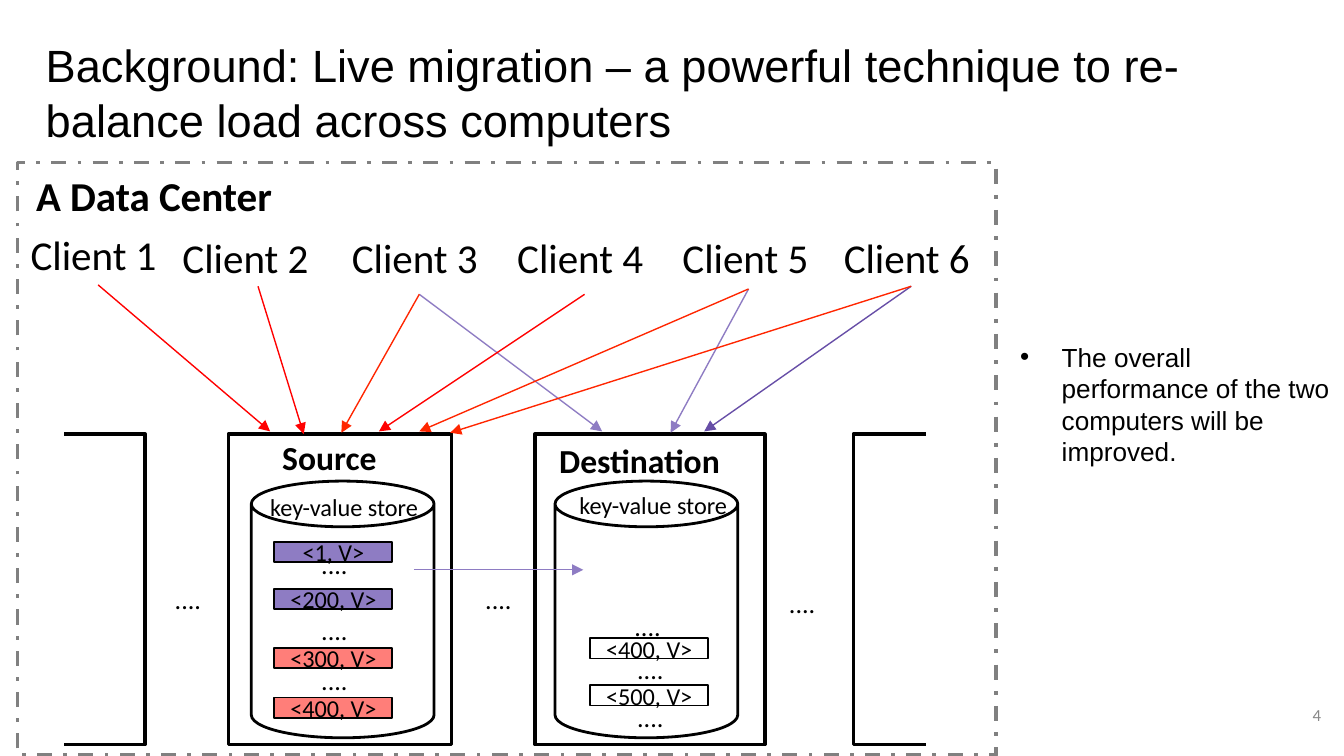
from lxml import etree
from pptx import Presentation
from pptx.dml.color import RGBColor
from pptx.enum import dml, shapes, text
from pptx.oxml import ns
from pptx.util import Inches, Pt

COLORS = {
    "ink": "000000",
    "frame": "808080",
    "number": "888888",
    "moved": "8E7CC3",
    "moved_dark": "674EA7",
    "kept": "FF7E79",
    "red": "FF0000",
    "orange": "FF2600",
}
DOTS = "...."
CLIENT_TIPS = {1: (0.73, 2.12), 2: (1.92, 2.13), 3: (3.12, 2.19),
               4: (4.35, 2.19), 5: (5.57, 2.15), 6: (6.78, 2.13)}
REQUESTS = [
    (1, 2.01, 3.21, "red"), (2, 2.26, 3.23, "red"),
    (5, 4.99, 3.22, "moved"), (6, 5.24, 3.21, "moved_dark"),
    (3, 4.48, 3.21, "moved"), (4, 2.82, 3.21, "red"),
    (5, 3.12, 3.21, "orange"), (6, 3.35, 3.22, "orange"),
    (3, 2.54, 3.22, "orange"),
]


def rgb(name):
    return RGBColor.from_string(COLORS[name])


def style_text(frame, size, font="Calibri", color="ink", bold=False, inset=0.04):
    frame.word_wrap = True
    frame.auto_size = text.MSO_AUTO_SIZE.NONE
    frame.margin_left = frame.margin_right = Inches(inset)
    frame.margin_top = frame.margin_bottom = Inches(inset)
    paragraph = frame.paragraphs[0]
    paragraph.font.size = Pt(size)
    paragraph.font.name = font
    paragraph.font.bold = bold
    paragraph.font.color.rgb = rgb(color)
    return paragraph


def add_label(slide, box, words, size, **style):
    frame = slide.shapes.add_textbox(*map(Inches, box)).text_frame
    frame.text = words
    return style_text(frame, size, **style)


def style_outline(shape, width, fill=None, line="ink"):
    shape.shadow.inherit = False
    if fill:
        shape.fill.solid()
        shape.fill.fore_color.rgb = rgb(fill)
    else:
        shape.fill.background()
    shape.line.color.rgb = rgb(line)
    shape.line.width = Pt(width)


def add_outline(slide, kind, box, width, **style):
    shape = slide.shapes.add_shape(kind, *map(Inches, box))
    style_outline(shape, width, **style)
    return shape


def add_arrow(slide, start, end, color):
    arrow = slide.shapes.add_connector(
        shapes.MSO_CONNECTOR.STRAIGHT, *map(Inches, start + end))
    arrow.line.color.rgb = rgb(color)
    arrow.line.width = Pt(0.75)
    properties = arrow._element.spPr
    etree.SubElement(properties.find(ns.qn("a:ln")), ns.qn("a:tailEnd"), type="triangle")
    etree.SubElement(properties, ns.qn("a:effectLst"))


def add_entry(slide, box, key, fill):
    entry = add_outline(slide, shapes.MSO_SHAPE.RECTANGLE, box, 1, fill=fill)
    entry.text_frame.text = f"<{key}, V>"
    paragraph = style_text(entry.text_frame, 13, inset=0)
    paragraph.alignment = text.PP_ALIGN.CENTER
    entry.text_frame.vertical_anchor = text.MSO_ANCHOR.MIDDLE


def add_dots(slide, left, top):
    add_label(slide, (left, top, 0.58, 0.26), DOTS, 14)


def add_computer(slide, box, name, name_at, store_at, caption_at, entries, dots):
    left, top, width, height = box
    add_outline(slide, shapes.MSO_SHAPE.RECTANGLE, box, 2)
    add_outline(slide, shapes.MSO_SHAPE.CAN,
                (left + store_at, top + 0.35, 1.36, 1.91), 1.5)
    add_label(slide, (left + name_at[0], top + name_at[1], 1.36, 0.32),
              name, 18, bold=True)
    add_label(slide, (left + caption_at[0], top + caption_at[1], 1.42, 0.27),
              "key-value store", 13)
    for key, x, y, fill in entries:
        add_entry(slide, (left + x, top + y, 0.88, 0.15), key, fill)
    for x, y in dots:
        add_dots(slide, left + x, top + y)


def add_cut_computer(slide, box, open_left):
    left, top, width, height = box
    right, bottom = left + width, top + height
    cut, wall = (left, right) if open_left else (right, left)
    builder = slide.shapes.build_freeform(Inches(cut), Inches(top))
    builder.add_line_segments(
        [(Inches(x), Inches(y)) for x, y in ((wall, top), (wall, bottom), (cut, bottom))],
        close=False)
    style_outline(builder.convert_to_shape(), 2)


def add_clients(slide, left, top):
    for number, offset in enumerate((0, 1.13, 2.39, 3.62, 4.85, 6.05), 1):
        drop = 0 if number == 1 else 0.02
        add_label(slide, (left + offset, top + drop, 1.2, 0.5),
                  f"Client {number}", 22, inset=0.1)


def add_data_center(slide, box):
    left, top, width, height = box
    frame = add_outline(slide, shapes.MSO_SHAPE.RECTANGLE, box, 2, line="frame")
    frame.line.dash_style = dml.MSO_LINE.DASH_DOT
    add_label(slide, (left + 0.04, top - 0.04, 2, 0.5), "A Data Center", 22,
              bold=True, inset=0.1)
    add_clients(slide, left, top + 0.4)

    row = top + 2.02
    add_cut_computer(slide, (left + 0.35, row, 0.6, 2.31), open_left=True)
    add_computer(
        slide, (left + 1.57, row, 1.66, 2.31), "Source", (0.36, -0.02), 0.17, (0.27, 0.39),
        [(1, 0.34, 0.8, "moved"), (200, 0.34, 1.15, "moved"),
         (300, 0.34, 1.59, "kept"), (400, 0.34, 1.96, "kept")],
        [(0.65, 0.81), (0.65, 1.3), (0.65, 1.67)])
    add_computer(
        slide, (left + 3.85, row, 1.71, 2.31), "Destination", (0.14, 0), 0.15, (0.29, 0.38),
        [(400, 0.41, 1.52, None), (500, 0.41, 1.87, None)],
        [(0.7, 1.27), (0.72, 1.59), (0.72, 1.95)])
    add_cut_computer(slide, (left + 6.22, row, 0.54, 2.31), open_left=False)
    for x, y in ((1.13, 1.07), (3.44, 1.07), (5.7, 1.1)):
        add_dots(slide, left + x, row + y)

    for client, x, y, color in REQUESTS:
        add_arrow(slide, CLIENT_TIPS[client], (x, y), color)
    add_arrow(slide, (3.08, 4.24), (4.34, 4.24), "moved")


def add_title(slide, box):
    title = slide.shapes.title
    title.left, title.top, title.width, title.height = map(Inches, box)
    title.text_frame.text = (
        "Background: Live migration – a powerful technique to re-balance load across computers")
    paragraph = style_text(title.text_frame, 24.2, font="Arial", inset=0.1)
    paragraph.alignment = text.PP_ALIGN.LEFT
    title.text_frame.vertical_anchor = text.MSO_ANCHOR.TOP


def add_takeaway(slide, box):
    paragraph = add_label(
        slide, box, "The overall performance of the two computers will be improved.",
        14, font="Arial", inset=0.05)
    properties = paragraph._p.get_or_add_pPr()
    properties.set("marL", str(Inches(0.31)))
    properties.set("indent", str(Inches(-0.31)))
    bullet_font = etree.Element(ns.qn("a:buFont"), typeface="Arial")
    bullet = etree.Element(ns.qn("a:buChar"), char="•")
    properties.insert(0, bullet_font)
    properties.insert(1, bullet)


def add_page_number(slide, box):
    paragraph = add_label(slide, box, "4", 9, color="number")
    paragraph.alignment = text.PP_ALIGN.RIGHT


def main():
    deck = Presentation()
    deck.slide_width, deck.slide_height = Inches(10), Inches(10 * 9 / 16)
    slide = deck.slides.add_slide(deck.slide_layouts.get_by_name("Title Only"))
    add_title(slide, (0.24, 0.18, 9.32, 0.63))
    add_data_center(slide, (0.13, 1.21, 7.28, 4.41))
    add_takeaway(slide, (7.54, 2.49, 2.46, 1.06))
    add_page_number(slide, (9.5, 5.2, 0.37, 0.27))
    deck.save("out.pptx")


if __name__ == "__main__":
    main()
